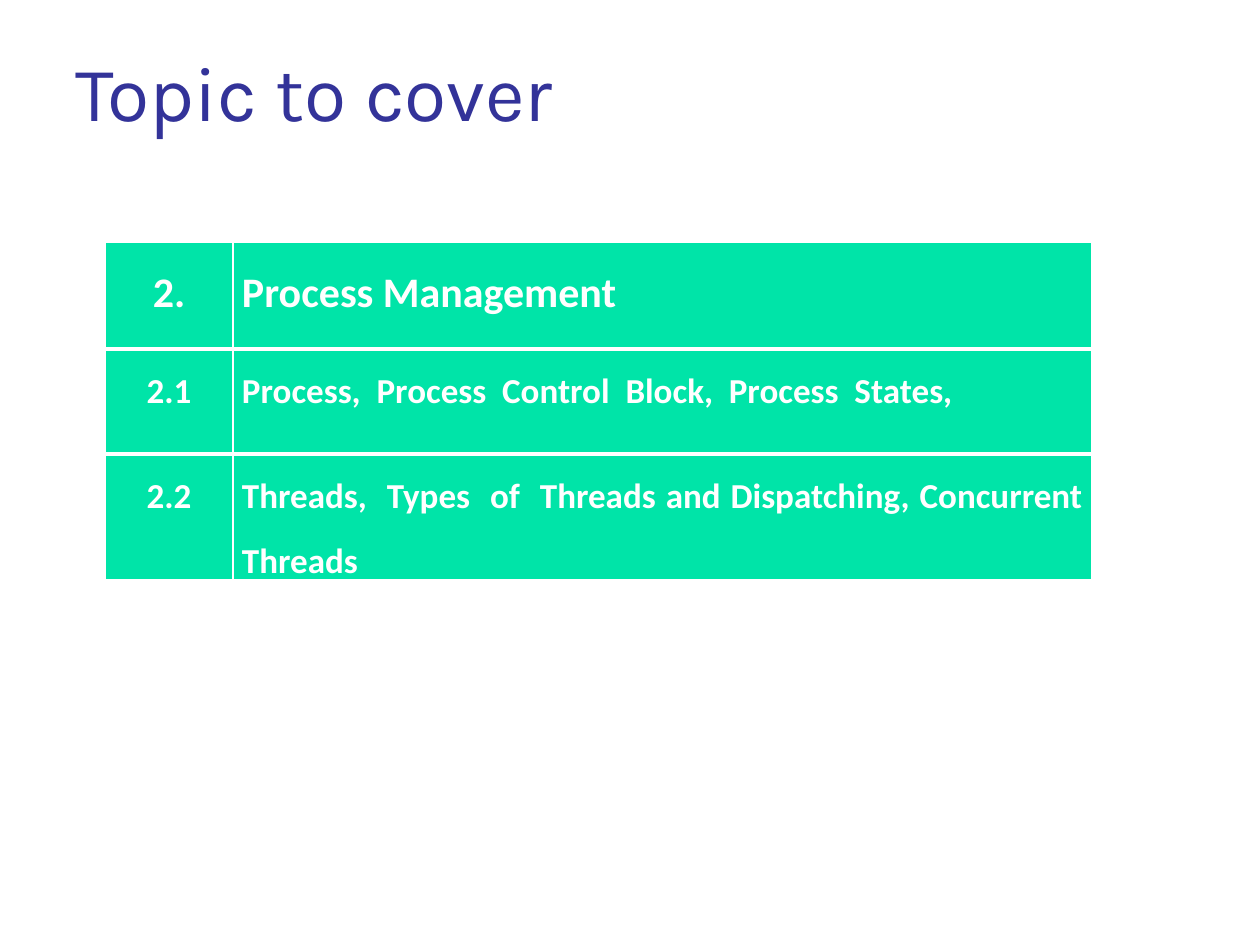
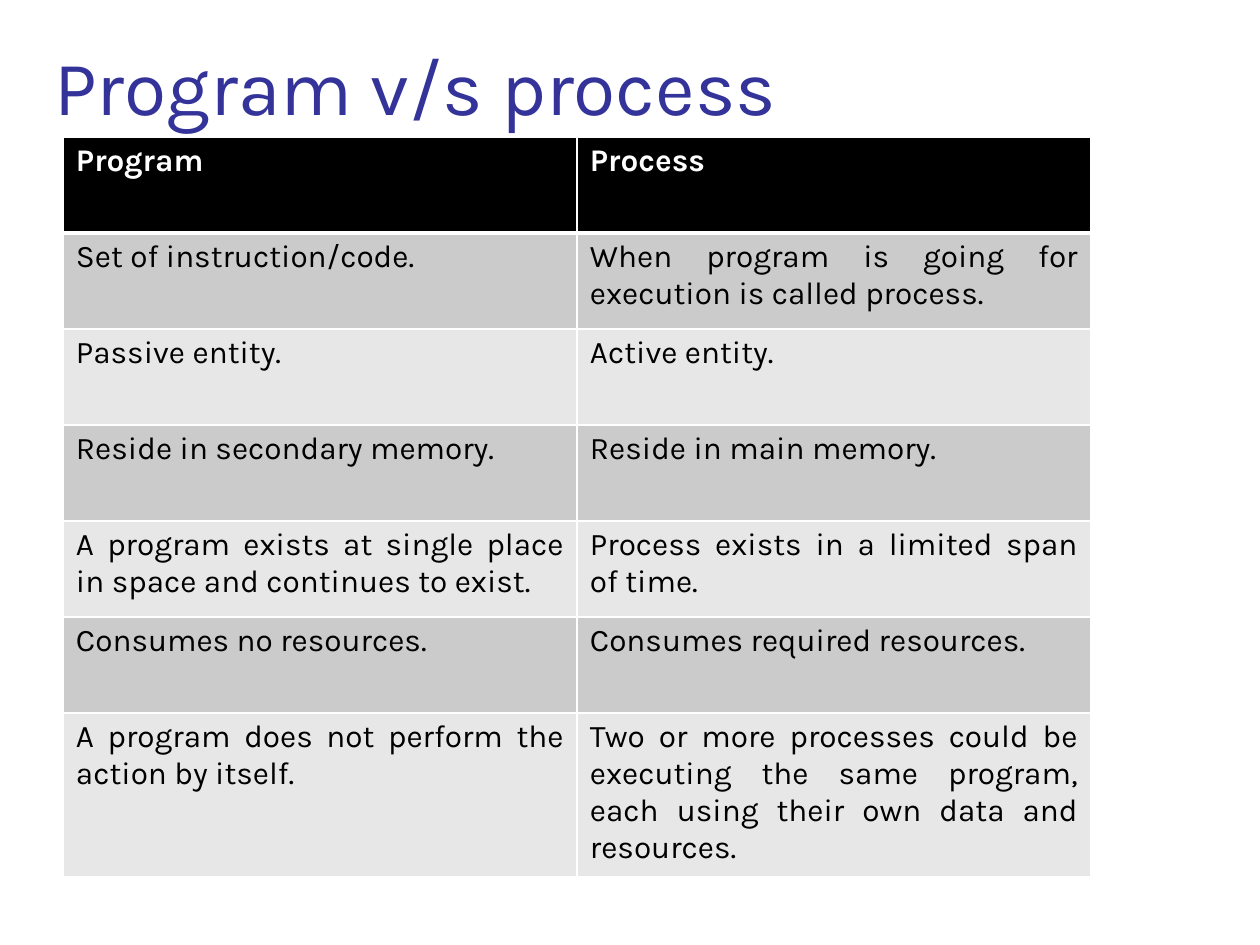
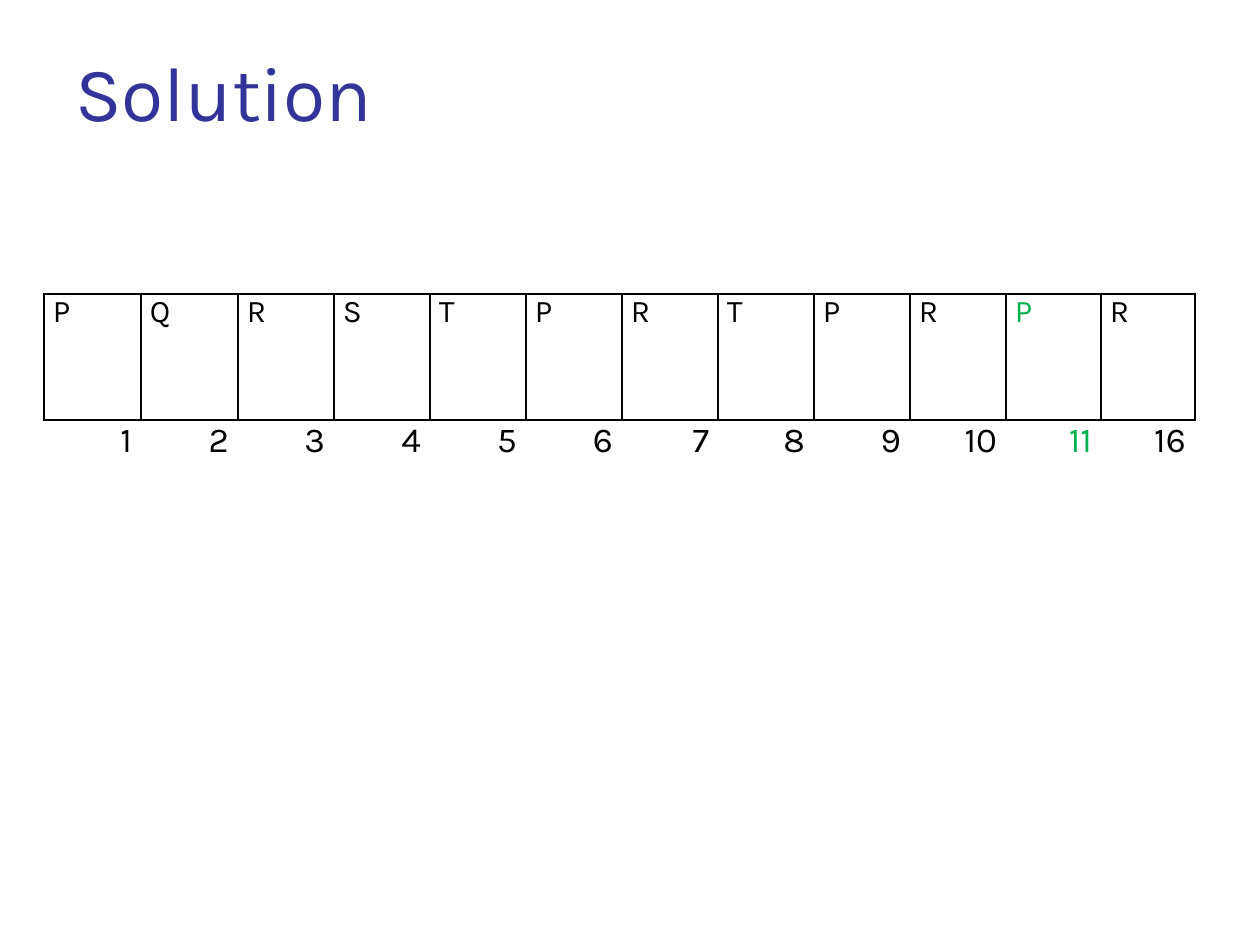
from lxml import etree
from pptx import Presentation
from pptx.dml.color import RGBColor
from pptx.enum.text import MSO_ANCHOR, PP_ALIGN
from pptx.oxml.ns import qn
from pptx.util import Pt

PX = 914400 / 126
LEFT, CENTER, RIGHT, JUSTIFY = PP_ALIGN.LEFT, PP_ALIGN.CENTER, PP_ALIGN.RIGHT, PP_ALIGN.JUSTIFY
TOP = MSO_ANCHOR.TOP
COLORS = {
    "title": "333399",
    "white": "FFFFFF",
    "black": "000000",
    "topic": "00E4A8",
    "dark_band": "CBCBCB",
    "light_band": "E7E7E7",
    "accent": "00B050",
}
TITLE_FONT = {"name": "Karla", "size": Pt(44), "bold": False}
TOPIC_FONT = {"name": "Calibri", "size": Pt(20), "bold": True}
TOPIC_HEAD_FONT = {**TOPIC_FONT, "size": Pt(24)}
BODY_FONT = {"name": "Karla", "size": Pt(18), "bold": False}
BODY_HEAD_FONT = {**BODY_FONT, "bold": True}
TIME_FONT = {**BODY_FONT, "size": Pt(20)}
NARROW_MARGINS = (9, 0)
WIDE_MARGINS = (13, 6)

TOPICS = [
    ("2.", "Process Management"),
    ("2.1", "Process,  Process  Control  Block,  Process  States,"),
    ("2.2", "Threads,  Types  of  Threads and Dispatching, Concurrent Threads"),
]
COMPARISON = [
    ("Program", "Process"),
    ("Set of instruction/code.", "When program is going for execution is called process."),
    ("Passive entity.", "Active entity."),
    ("Reside in secondary memory.", "Reside in main memory."),
    ("A program exists at single place in space and continues to exist.",
     "Process exists in a limited span of time."),
    ("Consumes no resources.", "Consumes required resources."),
    ("A program does not perform the action by itself.",
     "Two or more processes could be executing the same program, "
     "each using their own data and resources."),
]
GANTT_JOBS = "PQRSTPRTPRPR"
GANTT_TIMES = [*range(1, 12), 16]
GANTT_ACCENT = 10


def emu(pixels):
    """Turn px into EMU."""
    return round(pixels * PX)


def write(frame, text, font, color, align=LEFT, spacing=None):
    """Write one formatted paragraph into a text frame."""
    para = frame.paragraphs[0]
    para.alignment = align
    para.line_spacing = spacing
    span = para.add_run()
    span.text = text
    for name, value in font.items():
        setattr(span.font, name, value)
    span.font.color.rgb = RGBColor.from_string(COLORS[color])


def add_page(deck, title, box):
    """Add a blank page with its title in the given box."""
    page = deck.slides.add_slide(deck.slide_layouts[6])
    frame = page.shapes.add_textbox(*map(emu, box)).text_frame
    frame.word_wrap = True
    frame.vertical_anchor = TOP
    write(frame, title, TITLE_FONT, "title")
    return page


def add_grid(page, left, top, widths, heights):
    """Add an unbanded table with the given column widths and row heights."""
    box = map(emu, (left, top, sum(widths), sum(heights)))
    table = page.shapes.add_table(len(heights), len(widths), *box).table
    table.first_row = table.horz_banding = False
    for column, width in zip(table.columns, widths):
        column.width = emu(width)
    for row, height in zip(table.rows, heights):
        row.height = emu(height)
    return table


def style_cell(cell, margins, fill, line_color, lines):
    """Set margins, fill and the border widths given by side letter."""
    across, down = map(emu, margins)
    cell.margin_left = cell.margin_right = across
    cell.margin_top = cell.margin_bottom = down
    cell.vertical_anchor = TOP
    if fill:
        cell.fill.solid()
        cell.fill.fore_color.rgb = RGBColor.from_string(COLORS[fill])
    else:
        cell.fill.background()
    properties = cell._tc.get_or_add_tcPr()
    for index, side in enumerate("LRTB"):
        line = etree.Element(qn(f"a:ln{side}"), w=str(Pt(lines.get(side, 0))))
        if side in lines:
            solid = etree.SubElement(line, qn("a:solidFill"))
            etree.SubElement(solid, qn("a:srgbClr"), val=COLORS[line_color])
        else:
            etree.SubElement(line, qn("a:noFill"))
        properties.insert(index, line)


def row_lines(row, thick_below):
    """Give border widths for a row, thick below the listed rows."""
    return {"L": 1, "R": 1, "T": 3 if row - 1 in thick_below else 1,
            "B": 3 if row in thick_below else 1}


def topic_table(page, left, top):
    """Draw the numbered list of topics."""
    table = add_grid(page, left, top, [128, 859], [107, 105, 120])
    for row, texts in enumerate(TOPICS):
        font = TOPIC_FONT if row else TOPIC_HEAD_FONT
        for column, (text, align) in enumerate(zip(texts, (CENTER, JUSTIFY))):
            cell = table.cell(row, column)
            style_cell(cell, NARROW_MARGINS, "topic", "white", row_lines(row, (0, 1)))
            write(cell.text_frame, text, font, "white", align, 1.5)


def comparison_table(page, left, top):
    """Draw the banded comparison under a black header row."""
    table = add_grid(page, left, top, [514] * 2, [96] * 6 + [164])
    for row, texts in enumerate(COMPARISON):
        if row:
            fill = "dark_band" if row % 2 else "light_band"
            style = BODY_FONT, "black", JUSTIFY
        else:
            fill = "black"
            style = BODY_HEAD_FONT, "white", LEFT
        for column, text in enumerate(texts):
            cell = table.cell(row, column)
            style_cell(cell, WIDE_MARGINS, fill, "white", row_lines(row, (0,)))
            write(cell.text_frame, text, *style)


def gantt_table(page, left, top):
    """Draw the schedule of jobs with end times beneath."""
    table = add_grid(page, left, top, [97] * 2 + [96] * 8 + [95, 94], [126, 63])
    rows = [
        (GANTT_JOBS, BODY_FONT, LEFT, dict.fromkeys("LRTB", 1)),
        (GANTT_TIMES, TIME_FONT, RIGHT, {"T": 1}),
    ]
    for row, (values, font, align, lines) in enumerate(rows):
        for column, value in enumerate(values):
            cell = table.cell(row, column)
            color = "accent" if column == GANTT_ACCENT else "black"
            style_cell(cell, NARROW_MARGINS, None, "black", lines)
            write(cell.text_frame, str(value), font, color, align)


def main():
    """Build the three pages and save the deck."""
    deck = Presentation()
    deck.slide_width, deck.slide_height = emu(1260), emu(945)
    topic_table(add_page(deck, "Topic to cover", (63, 38, 1029, 120)), 105, 242)
    comparison_table(add_page(deck, "Program v/s process", (42, 32, 1029, 79)), 63, 137)
    gantt_table(add_page(deck, "Solution", (63, 38, 1134, 158)), 44, 294)
    deck.save("out.pptx")


if __name__ == "__main__":
    main()
